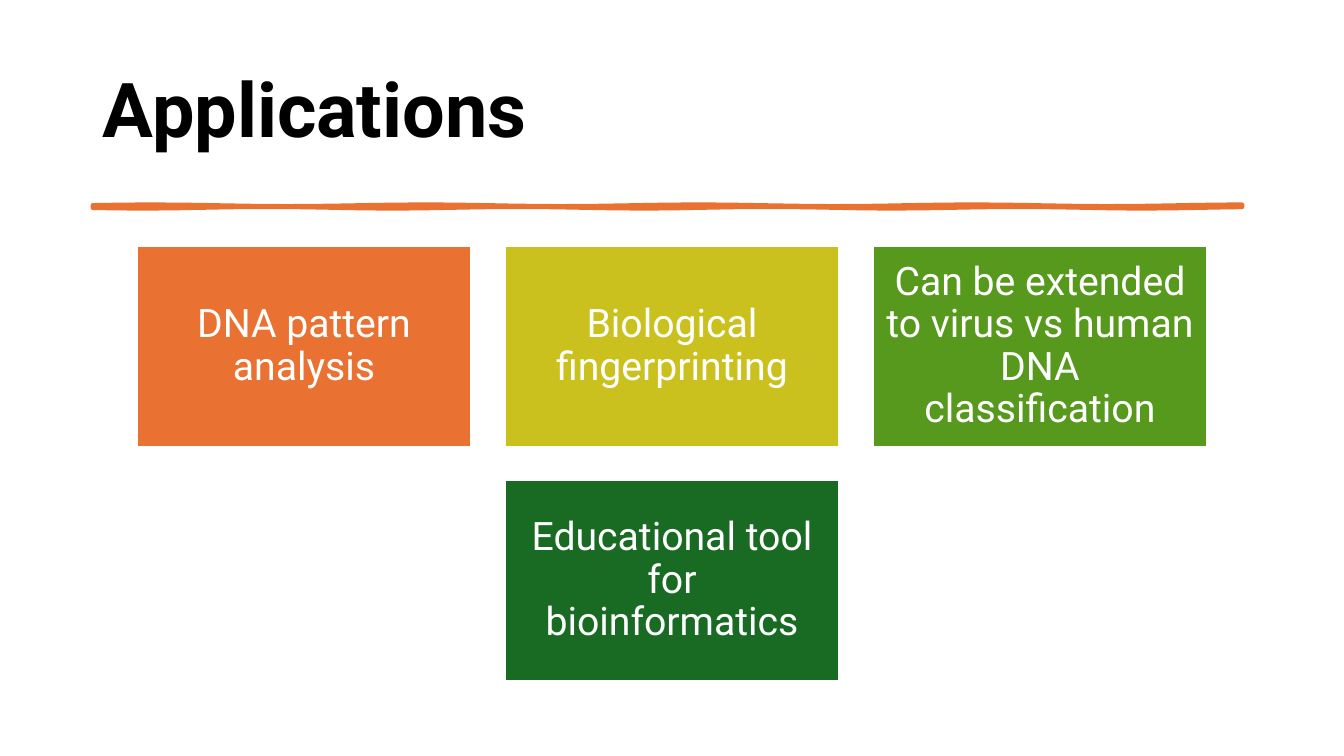
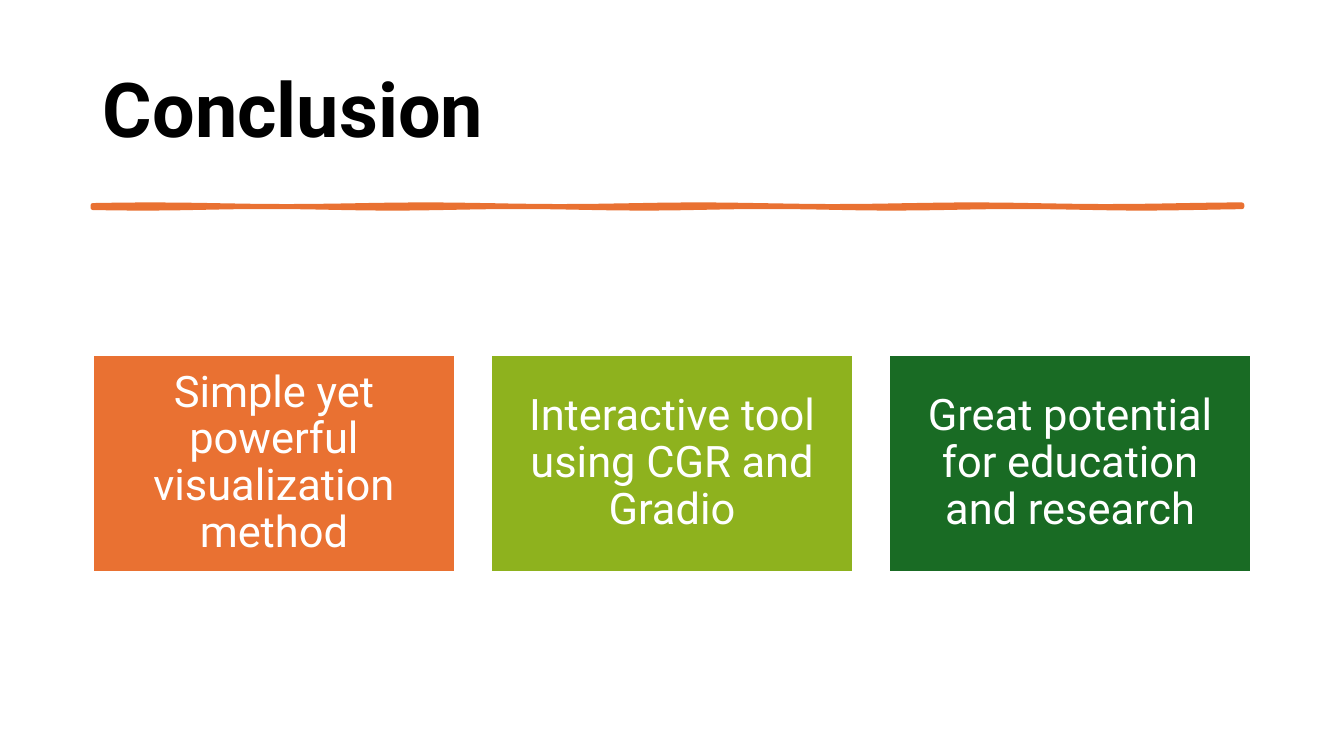
"""Build the Applications and Conclusion slides of a DNA visualization deck."""
from math import cos, pi

from lxml.etree import SubElement
from pptx import Presentation
from pptx.dml.color import RGBColor
from pptx.enum.shapes import MSO_SHAPE
from pptx.enum.text import MSO_ANCHOR, MSO_AUTO_SIZE, PP_ALIGN
from pptx.oxml.ns import qn
from pptx.util import Cm, Pt

WHITE = RGBColor(0xFF, 0xFF, 0xFF)
BLACK = RGBColor(0x00, 0x00, 0x00)
ORANGE = RGBColor(0xE9, 0x71, 0x32)
YELLOW = RGBColor(0xCB, 0xC1, 0x1E)
LIME = RGBColor(0x8E, 0xB2, 0x1E)
GREEN = RGBColor(0x56, 0x99, 0x1D)
DARK_GREEN = RGBColor(0x19, 0x6B, 0x24)

FONT = "Roboto"
SLIDE_WIDTH = 33.87
SLIDE_HEIGHT = 19.05
MARGIN = 2.34

TITLE_PLACE = {"left": Cm(MARGIN), "top": Cm(1.02), "width": Cm(29.21), "height": Cm(3.68)}
TITLE_FRAME = {"word_wrap": True, "auto_size": MSO_AUTO_SIZE.NONE,
               "vertical_anchor": MSO_ANCHOR.MIDDLE}
TITLE_PARAGRAPH = {"alignment": PP_ALIGN.LEFT, "line_spacing": 0.9}
TITLE_FONT = {"name": FONT, "size": Pt(54), "bold": True}

BRUSH_LENGTH = 28.96
BRUSH_STEPS = 80
BRUSH_TOP = {"level": 5.18, "swing": -0.02, "crest": 3.8, "wavelength": 6.9}
BRUSH_BOTTOM = {"level": 5.23, "swing": 0.02, "crest": 3.6, "wavelength": 6.3}

CARDS_PER_ROW = 3
CARD_HEIGHT_RATIO = 0.6
CARD_GAP_RATIO = 0.1
CARD_PARAGRAPH = {"alignment": PP_ALIGN.CENTER, "line_spacing": 0.9}

SLIDES = (
    {"title": "Applications", "top": 6.2, "card_width": 8.43, "inset": 0.3, "size": 28,
     "cards": (("DNA pattern analysis", ORANGE),
               ("Biological fingerprinting", YELLOW),
               ("Can be extended to virus vs human DNA classification", GREEN),
               ("Educational tool for bioinformatics", DARK_GREEN))},
    {"title": "Conclusion", "top": 8.94, "card_width": 9.12, "inset": 0.33, "size": 31,
     "cards": (("Simple yet powerful visualization method", ORANGE),
               ("Interactive tool using CGR and Gradio", LIME),
               ("Great potential for education and research", DARK_GREEN))},
)


def apply(target, values):
    for name, value in values.items():
        setattr(target, name, value)


def wavy_edge(level, swing, crest, wavelength):
    xs = [MARGIN + BRUSH_LENGTH * step / BRUSH_STEPS for step in range(BRUSH_STEPS + 1)]
    return [(Cm(x), Cm(level + swing * cos(2 * pi * (x - crest) / wavelength))) for x in xs]


deck = Presentation()
deck.slide_width = Cm(SLIDE_WIDTH)
deck.slide_height = Cm(SLIDE_HEIGHT)
brush_points = wavy_edge(**BRUSH_TOP) + wavy_edge(**BRUSH_BOTTOM)[::-1]

for content in SLIDES:
    slide = deck.slides.add_slide(deck.slide_layouts[5])
    title = slide.shapes.title
    title.text = content["title"]
    heading = title.text_frame.paragraphs[0]
    apply(title, TITLE_PLACE)
    apply(title.text_frame, TITLE_FRAME)
    apply(heading, TITLE_PARAGRAPH)
    apply(heading.runs[0].font, TITLE_FONT)
    heading.runs[0].font.color.rgb = BLACK

    outline = slide.shapes.build_freeform(*brush_points[0])
    outline.add_line_segments(brush_points[1:], close=True)
    brush = outline.convert_to_shape()
    brush.shadow.inherit = False
    brush.fill.solid()
    brush.fill.fore_color.rgb = ORANGE
    brush.line.color.rgb = ORANGE
    brush.line.width = Pt(3.25)
    SubElement(brush.element.spPr.find(qn("a:ln")), qn("a:round"))

    cards = content["cards"]
    width = content["card_width"]
    height = CARD_HEIGHT_RATIO * width
    gap = CARD_GAP_RATIO * width
    inset = Cm(content["inset"])
    card_frame = {"word_wrap": True, "vertical_anchor": MSO_ANCHOR.MIDDLE,
                  "margin_left": inset, "margin_right": inset,
                  "margin_top": inset, "margin_bottom": inset}
    card_font = {"name": FONT, "size": Pt(content["size"])}

    for index, (words, color) in enumerate(cards):
        row, column = divmod(index, CARDS_PER_ROW)
        cards_in_row = min(CARDS_PER_ROW, len(cards) - row * CARDS_PER_ROW)
        row_width = cards_in_row * (width + gap) - gap
        left = (SLIDE_WIDTH - row_width) / 2 + column * (width + gap)
        top = content["top"] + row * (height + gap)
        card = slide.shapes.add_shape(
            MSO_SHAPE.RECTANGLE, Cm(left), Cm(top), Cm(width), Cm(height))
        card.shadow.inherit = False
        card.fill.solid()
        card.fill.fore_color.rgb = color
        card.line.color.rgb = WHITE
        card.line.width = Pt(1.5)
        card.text_frame.text = words
        paragraph = card.text_frame.paragraphs[0]
        apply(card.text_frame, card_frame)
        apply(paragraph, CARD_PARAGRAPH)
        apply(paragraph.runs[0].font, card_font)
        paragraph.runs[0].font.color.rgb = WHITE

deck.save("out.pptx")
